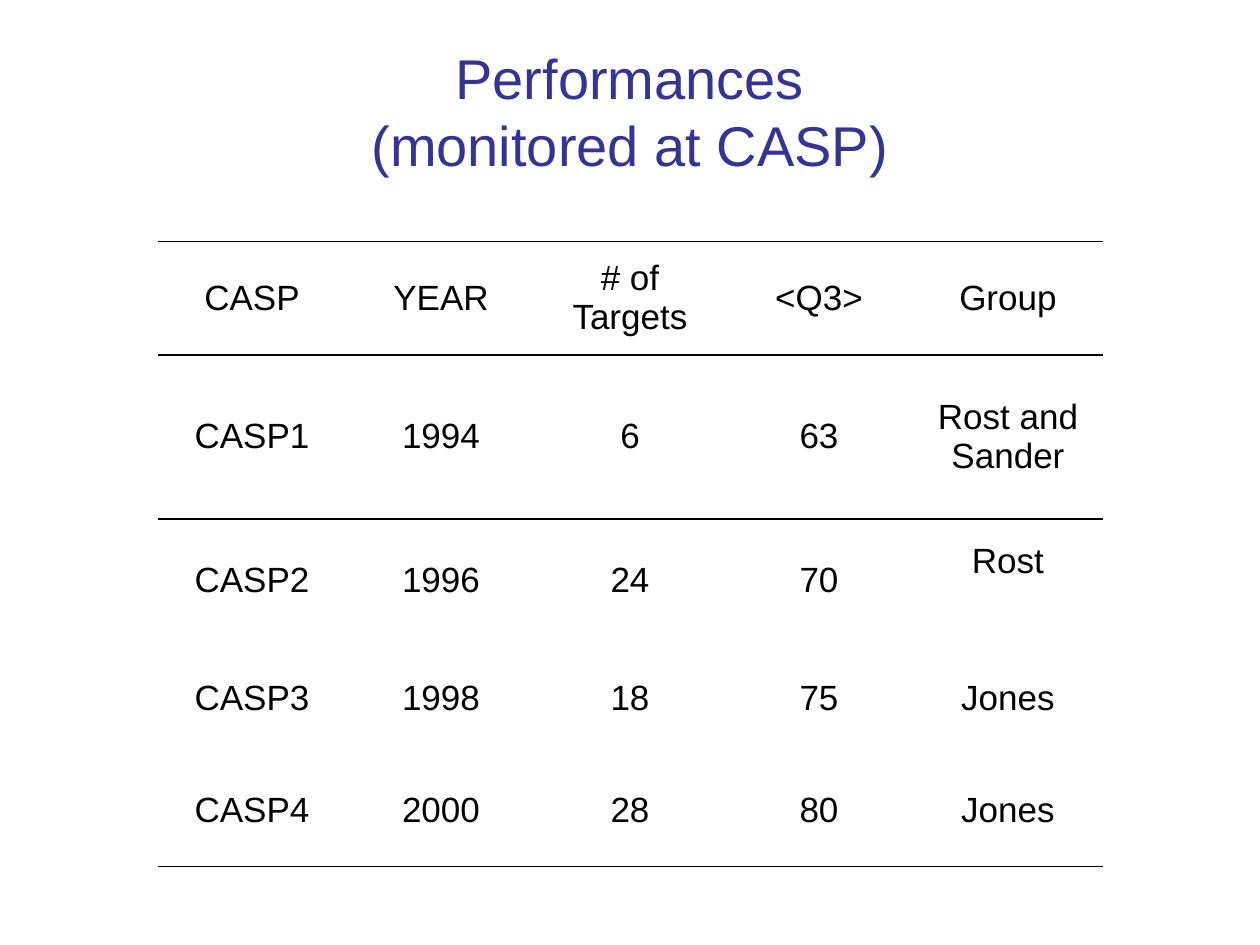
from dataclasses import dataclass

from lxml import etree
from pptx import Presentation
from pptx.dml.color import RGBColor
from pptx.enum.text import MSO_ANCHOR, MSO_AUTO_SIZE, PP_ALIGN
from pptx.oxml.ns import qn
from pptx.util import Pt

CENTER = PP_ALIGN.CENTER
MIDDLE = MSO_ANCHOR.MIDDLE
NO_AUTOFIT = MSO_AUTO_SIZE.NONE

TITLE_ONLY_LAYOUT = 5
NO_STYLE_NO_GRID = "{2D5ABB26-0587-4C30-8999-92F81FD0307C}"
FONT = "Arial"
BLACK = "000000"
TITLE_BLUE = "333399"
RULE_WIDTH = 1.08
COLUMN_WIDTH = 108
CELL_MARGIN = 3.6
RAISED_MARGIN = 26


@dataclass
class Row:
    height: float
    texts: tuple[str, ...]
    rules: tuple[str, ...] = ()
    group_bottom_margin: float = CELL_MARGIN


ROWS = [
    Row(64.8, ("CASP", "YEAR", "# of Targets", "<Q3>", "Group"), ("T", "B")),
    Row(93.6, ("CASP1", "1994", "6", "63", "Rost and Sander"), ("T",)),
    Row(70.56, ("CASP2", "1996", "24", "70", "Rost"),
        group_bottom_margin=RAISED_MARGIN),
    Row(64.08, ("CASP3", "1998", "18", "75", "Jones")),
    Row(64.08, ("CASP4", "2000", "28", "80", "Jones"), ("B",)),
]


def color(value: str) -> RGBColor:
    return RGBColor.from_string(value)


def add_run(paragraph, text: str, size: float, hex_color: str) -> None:
    run = paragraph.add_run()
    run.text = text
    run.font.name = FONT
    run.font.size = Pt(size)
    run.font.bold = False
    run.font.color.rgb = color(hex_color)


def add_rules(cell, sides: tuple[str, ...]) -> None:
    """Draw the cell's horizontal borders; T is the top and B the bottom."""
    properties = cell._tc.get_or_add_tcPr()
    for position, side in enumerate(sides):
        line = etree.Element(qn(f"a:ln{side}"), w=str(Pt(RULE_WIDTH)))
        fill = etree.SubElement(line, qn("a:solidFill"))
        etree.SubElement(fill, qn("a:srgbClr"), val=BLACK)
        properties.insert(position, line)


def add_title(slide) -> None:
    title = slide.shapes.title
    title.left, title.top = Pt(36), Pt(18)
    title.width, title.height = Pt(648), Pt(90)
    frame = title.text_frame
    frame.auto_size = NO_AUTOFIT
    frame.word_wrap = True
    frame.vertical_anchor = MIDDLE
    paragraph = frame.paragraphs[0]
    paragraph.alignment = CENTER
    add_run(paragraph, "Performances", 32, TITLE_BLUE)
    paragraph.add_line_break()
    add_run(paragraph, "(monitored at CASP)", 32, TITLE_BLUE)


def fill_cell(cell, text: str, row: Row) -> None:
    cell.fill.background()
    cell.vertical_anchor = MIDDLE
    paragraph = cell.text_frame.paragraphs[0]
    paragraph.alignment = CENTER
    add_run(paragraph, text, 20, BLACK)
    add_rules(cell, row.rules)


def add_results_table(slide, rows: list[Row]) -> None:
    column_count = len(rows[0].texts)
    table = slide.shapes.add_table(
        len(rows), column_count, Pt(90), Pt(138),
        Pt(COLUMN_WIDTH * column_count), Pt(sum(row.height for row in rows)),
    ).table
    table.first_row = False
    table.horz_banding = False
    table._tbl.tblPr.find(qn("a:tableStyleId")).text = NO_STYLE_NO_GRID
    for column in table.columns:
        column.width = Pt(COLUMN_WIDTH)
    for row_index, row in enumerate(rows):
        table.rows[row_index].height = Pt(row.height)
        for column_index, text in enumerate(row.texts):
            fill_cell(table.cell(row_index, column_index), text, row)
        group_cell = table.cell(row_index, column_count - 1)
        group_cell.margin_bottom = Pt(row.group_bottom_margin)


def main() -> None:
    presentation = Presentation()
    presentation.slide_width, presentation.slide_height = Pt(720), Pt(540)
    layout = presentation.slide_layouts[TITLE_ONLY_LAYOUT]
    slide = presentation.slides.add_slide(layout)
    add_title(slide)
    add_results_table(slide, ROWS)
    presentation.save("out.pptx")


if __name__ == "__main__":
    main()
